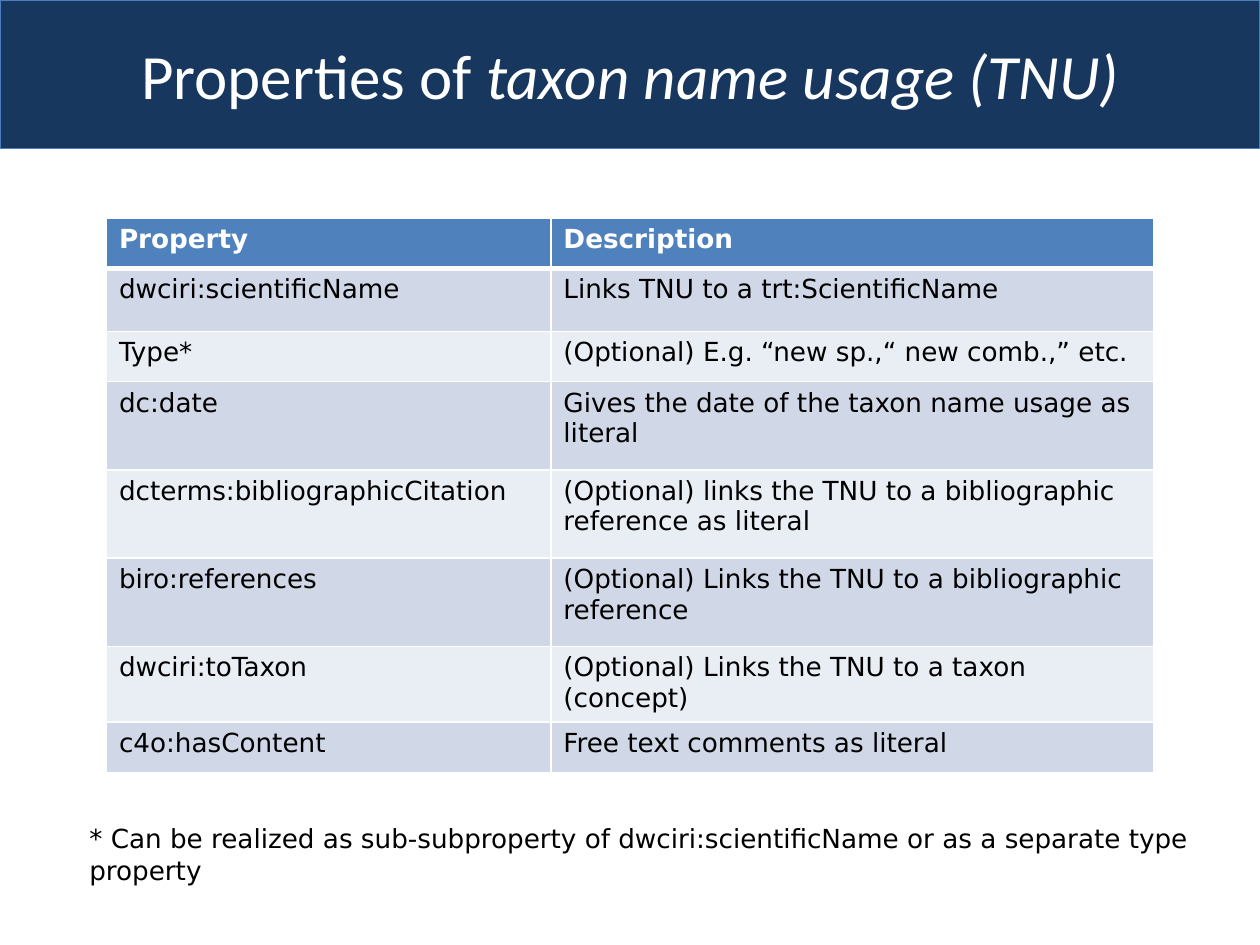
from lxml.etree import SubElement
from pptx import Presentation
from pptx.dml.color import RGBColor
from pptx.enum.shapes import MSO_SHAPE
from pptx.enum.text import MSO_ANCHOR, PP_ALIGN
from pptx.oxml.ns import qn
from pptx.util import Pt

COLORS = {
    "navy": "17375E",
    "outline": "4B7EBC",
    "header": "4F81BD",
    "band_dark": "D0D8E8",
    "band_light": "E9EDF4",
    "white": "FFFFFF",
    "black": "000000",
}
TITLE_FONT = "Calibri"
BODY_FONT = "DejaVu Sans"
WIDTH, HEIGHT = 720, 540
BANNER_HEIGHT = 85

COLUMN_WIDTHS = [254, 344.3]
ROW_HEIGHTS = [28.8, 36, 28.8, 50.4, 50.4, 50.4, 28.8, 28.8]
ROWS = [
    ("Property", "Description"),
    ("dwciri:scientificName", "Links TNU to a trt:ScientificName"),
    ("Type*", "(Optional) E.g. “new sp.,“ new comb.,” etc."),
    ("dc:date", "Gives the date of the taxon name usage as literal"),
    ("dcterms:bibliographicCitation",
     "(Optional) links the TNU to a bibliographic reference as literal"),
    ("biro:references", "(Optional) Links the TNU to a bibliographic reference"),
    ("dwciri:toTaxon", "(Optional) Links the TNU to a taxon (concept)"),
    ("c4o:hasContent", "Free text comments as literal"),
]


def rgb(name):
    return RGBColor.from_string(COLORS[name])


class SlideBuilder:
    def __init__(self, slide, font=BODY_FONT, size=15):
        self.slide = slide
        self.font = font
        self.size = size

    def add_run(self, paragraph, text, color="black", font=None, size=None,
                bold=False, italic=False):
        run = paragraph.add_run()
        run.text = text
        run.font.name = font or self.font
        run.font.size = Pt(size or self.size)
        run.font.bold = bold
        run.font.italic = italic
        run.font.color.rgb = rgb(color)

    def add_rectangle(self, left, top, width, height, fill, line):
        shape = self.slide.shapes.add_shape(
            MSO_SHAPE.RECTANGLE, Pt(left), Pt(top), Pt(width), Pt(height))
        shape.shadow.inherit = False
        shape.fill.solid()
        shape.fill.fore_color.rgb = rgb(fill)
        shape.line.color.rgb = rgb(line)
        shape.line.width = Pt(0.75)

    def add_text_box(self, left, top, width, height, anchor=MSO_ANCHOR.TOP):
        """Add an empty wrapped text box and return its first paragraph."""
        box = self.slide.shapes.add_textbox(Pt(left), Pt(top), Pt(width), Pt(height))
        box.text_frame.word_wrap = True
        box.text_frame.vertical_anchor = anchor
        return box.text_frame.paragraphs[0]

    def set_borders(self, cell, color, widths):
        properties = cell._tc.get_or_add_tcPr()
        for side, width in widths.items():
            line = SubElement(properties, qn(f"a:ln{side}"), w=str(Pt(width)))
            fill = SubElement(line, qn("a:solidFill"))
            SubElement(fill, qn("a:srgbClr"), val=COLORS[color])

    def add_table(self, left, top, column_widths, row_heights, rows):
        table = self.slide.shapes.add_table(
            len(rows), len(column_widths), Pt(left), Pt(top),
            Pt(sum(column_widths)), Pt(sum(row_heights))).table
        for column, width in zip(table.columns, column_widths):
            column.width = Pt(width)
        for index, (row, height, texts) in enumerate(zip(table.rows, row_heights, rows)):
            row.height = Pt(height)
            is_header = index == 0
            band = "band_dark" if index % 2 else "band_light"
            widths = {"L": 1, "R": 1, "T": 3 if index == 1 else 1,
                      "B": 3 if is_header else 1}
            for cell, text in zip(row.cells, texts):
                self.set_borders(cell, "white", widths)
                cell.fill.solid()
                cell.fill.fore_color.rgb = rgb("header" if is_header else band)
                self.add_run(cell.text_frame.paragraphs[0], text,
                             color="white" if is_header else "black", bold=is_header)


def main():
    presentation = Presentation()
    presentation.slide_width, presentation.slide_height = Pt(WIDTH), Pt(HEIGHT)
    builder = SlideBuilder(presentation.slides.add_slide(presentation.slide_layouts[6]))

    # Title banner
    builder.add_rectangle(0, 0, WIDTH, BANNER_HEIGHT, "navy", "outline")
    title = builder.add_text_box(0, 0, WIDTH, BANNER_HEIGHT, MSO_ANCHOR.MIDDLE)
    title.alignment = PP_ALIGN.CENTER
    for text, italic in [("Properties of ", False), ("taxon name usage (TNU)", True)]:
        builder.add_run(title, text, "white", TITLE_FONT, 36, italic=italic)

    # Property table
    builder.add_table(60.8, 124.5, COLUMN_WIDTHS, ROW_HEIGHTS, ROWS)

    # Footnote
    footnote = builder.add_text_box(44, 466.5, 662, 44)
    builder.add_run(footnote, "* Can be realized as sub-subproperty of "
                              "dwciri:scientificName or as a separate type")
    footnote.add_line_break()
    builder.add_run(footnote, "property")

    presentation.save("out.pptx")


if __name__ == "__main__":
    main()
